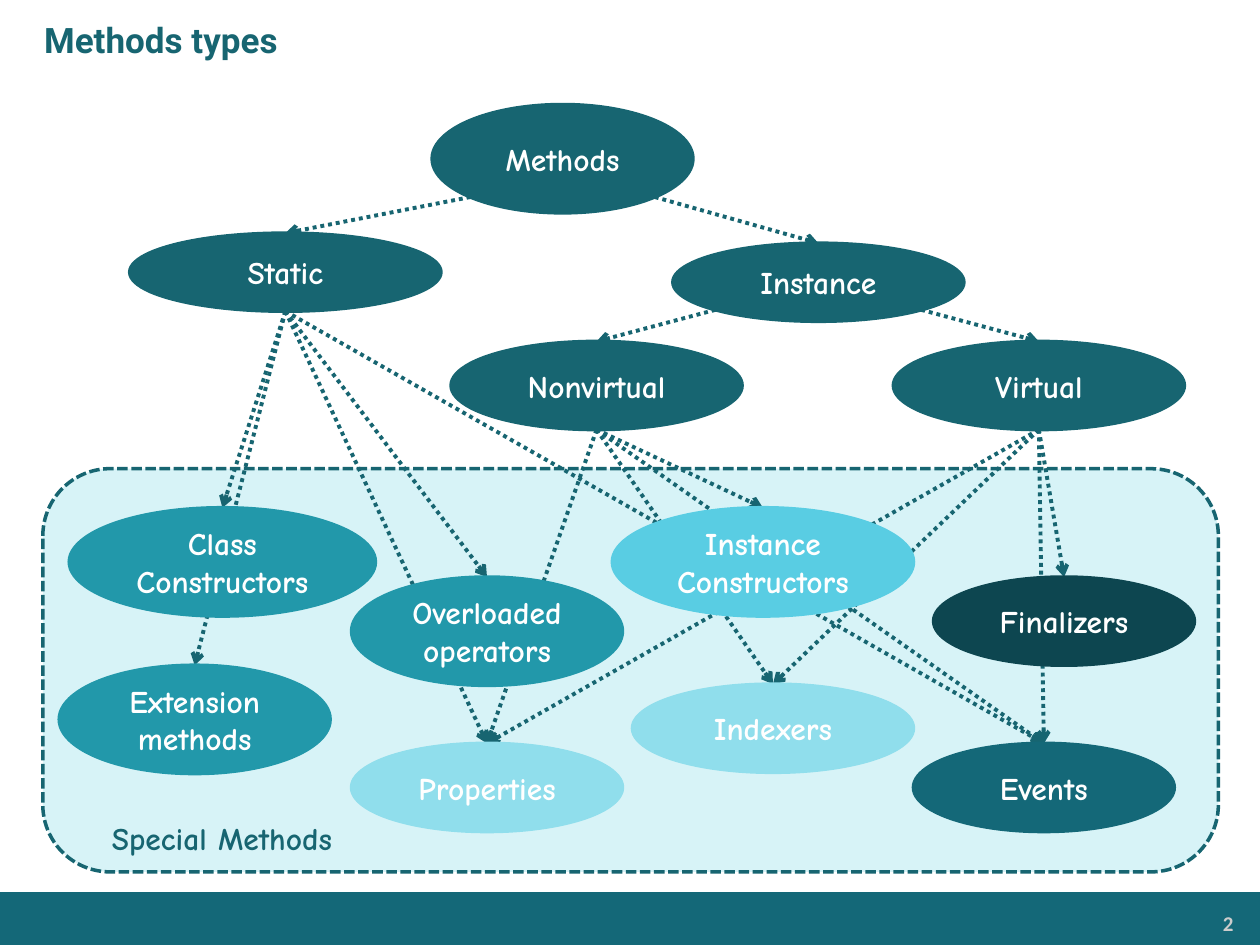
"""Build the slide on method types."""
from math import sqrt

from lxml.etree import SubElement
from pptx import Presentation
from pptx.dml.color import RGBColor
from pptx.enum.dml import MSO_LINE
from pptx.enum.shapes import MSO_CONNECTOR, MSO_SHAPE
from pptx.enum.text import MSO_ANCHOR, PP_ALIGN
from pptx.oxml.ns import qn
from pptx.util import Inches, Pt

DARK, TEAL, PALE, WHITE = "176571", "2298AA", "90DEEC", "FFFFFF"
FOOTER = "146878"
LABEL = {"name": "Comic Neue", "size": Pt(18), "bold": True}
HEADING = {"name": "Roboto", "size": Pt(20), "bold": True}
NUMBER = {"name": "Calibri", "size": Pt(12), "bold": True}

NODES = {
    "Methods": (3.09, 0, 2.07, 0.86, DARK),
    "Static": (0.69, 1.02, 2.47, 0.62, DARK),
    "Instance": (5, 1.1, 2.31, 0.62, DARK),
    "Nonvirtual": (3.24, 1.88, 2.31, 0.7, DARK),
    "Virtual": (6.75, 1.88, 2.31, 0.7, DARK),
    "Extension methods": (0.13, 4.45, 2.15, 0.86, TEAL),
    "Class\nConstructors": (0.21, 3.2, 2.43, 0.86, TEAL),
    "Events": (6.91, 5.07, 2.07, 0.7, FOOTER),
    "Properties": (2.45, 5.07, 2.15, 0.7, PALE),
    "Finalizers": (7.07, 3.75, 2.07, 0.7, "0D4650"),
    "Indexers": (4.68, 4.6, 2.23, 0.7, PALE),
    "Overloaded operators": (2.45, 3.75, 2.15, 0.86, TEAL),
    "Instance\nConstructors": (4.52, 3.2, 2.39, 0.86, "59CDE3"),
}
BRANCHES = {
    "Methods": ("Static", "Instance"),
    "Instance": ("Nonvirtual", "Virtual"),
}
USES = {
    "Static": ("Class\nConstructors", "Extension methods",
               "Overloaded operators", "Properties", "Events"),
    "Nonvirtual": ("Instance\nConstructors", "Properties", "Events", "Indexers"),
    "Virtual": ("Finalizers", "Properties", "Events", "Indexers"),
}


def rgb(value):
    """Return the colour for a hex string."""
    return RGBColor.from_string(value)


def write(tf, text, font, color, align=PP_ALIGN.LEFT):
    """Write one formatted paragraph for each line of text."""
    for i, line in enumerate(text.split("\n")):
        p = tf.add_paragraph() if i else tf.paragraphs[0]
        p.alignment = align
        r = p.add_run()
        r.text = line
        r.font.color.rgb = rgb(color)
        for name, value in font.items():
            setattr(r.font, name, value)


def add_shape(s, kind, box, fill, line=None, dash=None):
    """Add a flat preset shape, with an outline if a line colour is given."""
    sp = s.shapes.add_shape(kind, *map(Inches, box))
    sp.shadow.inherit = False
    sp.fill.solid()
    sp.fill.fore_color.rgb = rgb(fill)
    if line:
        sp.line.color.rgb = rgb(line)
        sp.line.width = Pt(2)
        sp.line.dash_style = dash
    else:
        sp.line.fill.background()
    return sp


def add_arrow(s, start, end):
    """Add a dotted arrow between two points."""
    cx = s.shapes.add_connector(MSO_CONNECTOR.STRAIGHT, *map(Inches, start + end))
    cx.line.color.rgb = rgb(DARK)
    cx.line.width = Pt(2.25)
    cx.line.dash_style = MSO_LINE.ROUND_DOT
    SubElement(cx.line._get_or_add_ln(), qn("a:tailEnd"), type="arrow")
    SubElement(cx._element.spPr, qn("a:effectLst"))


def rim_point(box, dx, dy):
    """Return the point of an ellipse in the direction dx, dy."""
    x, y, w, h = box
    return x + w / 2 * (1 + dx), y + h / 2 * (1 + dy)


def add_title(s, box):
    """Place and format the slide title."""
    sp = s.shapes.title
    sp.left, sp.top, sp.width, sp.height = map(Inches, box)
    tf = sp.text_frame
    tf.margin_left = Inches(0.35)
    tf.vertical_anchor = MSO_ANCHOR.MIDDLE
    write(tf, "Methods types", HEADING, DARK)


def add_panel(s, box):
    """Draw the dashed panel and its label."""
    x, y, w, h = box
    add_shape(s, MSO_SHAPE.ROUNDED_RECTANGLE, box, "D7F3F7", DARK,
              MSO_LINE.SQUARE_DOT).line.dash_style = MSO_LINE.SQUARE_DOT
    sp = s.shapes.add_textbox(*map(Inches, (x + 0.45, y + 2.73, 2.1, 0.4)))
    sp.text_frame.word_wrap = False
    write(sp.text_frame, "Special Methods", LABEL, DARK)


def add_diagram(s, box):
    """Draw the panel, then the arrows, then the ellipses over them."""
    x, y, w, h = box
    add_panel(s, (x, y + 2.89, w, 3.2))
    boxes = {name: (x + left, y + top, width, height)
             for name, (left, top, width, height, _) in NODES.items()}
    diagonal = sqrt(0.5)
    for parent, children in BRANCHES.items():
        for child, side in zip(children, (-diagonal, diagonal)):
            add_arrow(s, rim_point(boxes[parent], side, diagonal),
                      rim_point(boxes[child], 0, -1))
    for parent, children in USES.items():
        for child in children:
            add_arrow(s, rim_point(boxes[parent], 0, 1),
                      rim_point(boxes[child], 0, -1))
    for name, node in NODES.items():
        color = node[-1]
        sp = add_shape(s, MSO_SHAPE.OVAL, boxes[name], color, color)
        sp.text_frame.word_wrap = True
        sp.text_frame.vertical_anchor = MSO_ANCHOR.MIDDLE
        write(sp.text_frame, name, LABEL, WHITE, PP_ALIGN.CENTER)


def add_footer(s, box):
    """Draw the footer bar and the slide number."""
    x, y, w, h = box
    add_shape(s, MSO_SHAPE.RECTANGLE, box, FOOTER)
    sp = s.shapes.add_textbox(*map(Inches, (x + 8.23, y + 0.11, 1.63, 0.28)))
    tf = sp.text_frame
    tf.word_wrap = True
    margins = {"margin_left": 0.07, "margin_top": 0.04,
               "margin_right": 0.07, "margin_bottom": 0.04}
    for name, value in margins.items():
        setattr(tf, name, Inches(value))
    write(tf, "2", NUMBER, "CCCCCC", PP_ALIGN.RIGHT)


def main():
    """Build and save the presentation."""
    prs = Presentation()
    prs.slide_width, prs.slide_height = Inches(10), Inches(7.5)
    s = prs.slides.add_slide(prs.slide_layouts[5])
    add_footer(s, (0, 7.08, 10.01, 0.43))
    add_title(s, (0, 0, 10, 0.63))
    add_diagram(s, (0.34, 0.83, 9.33, 6.09))
    prs.save("out.pptx")


if __name__ == "__main__":
    main()
